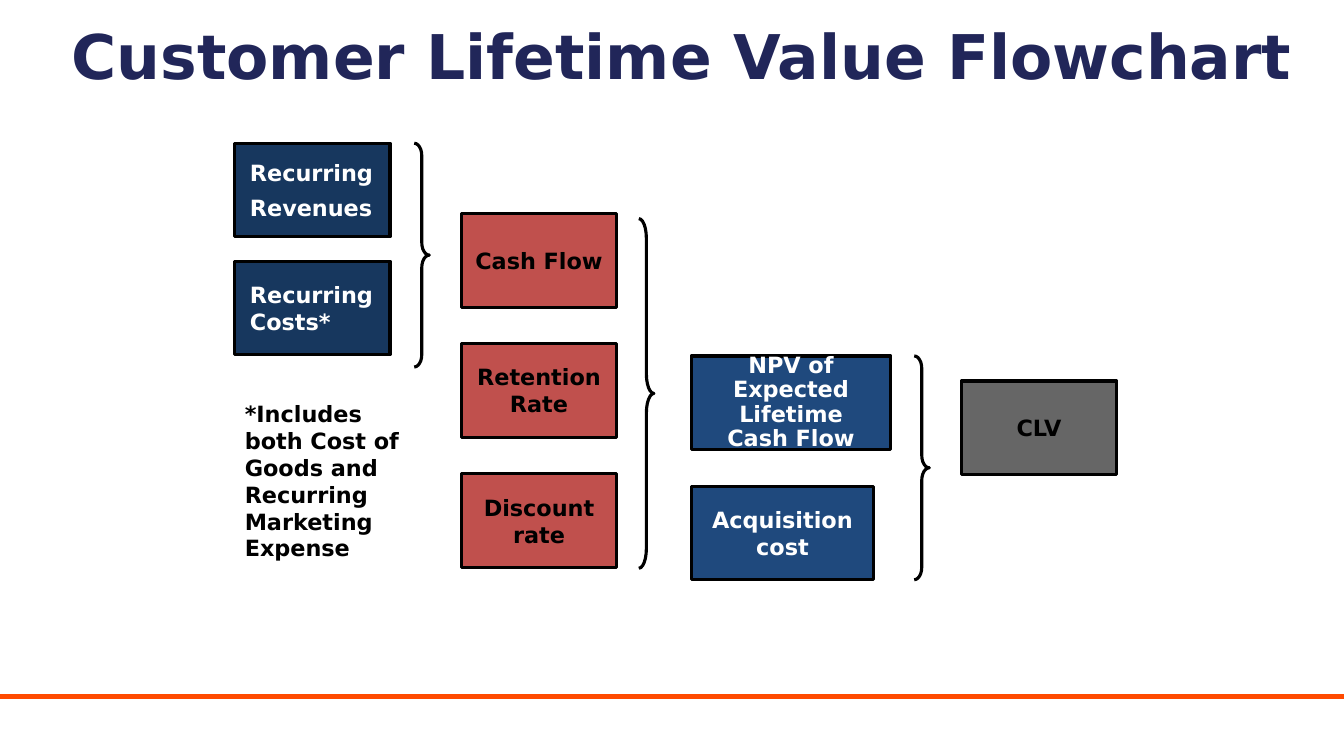
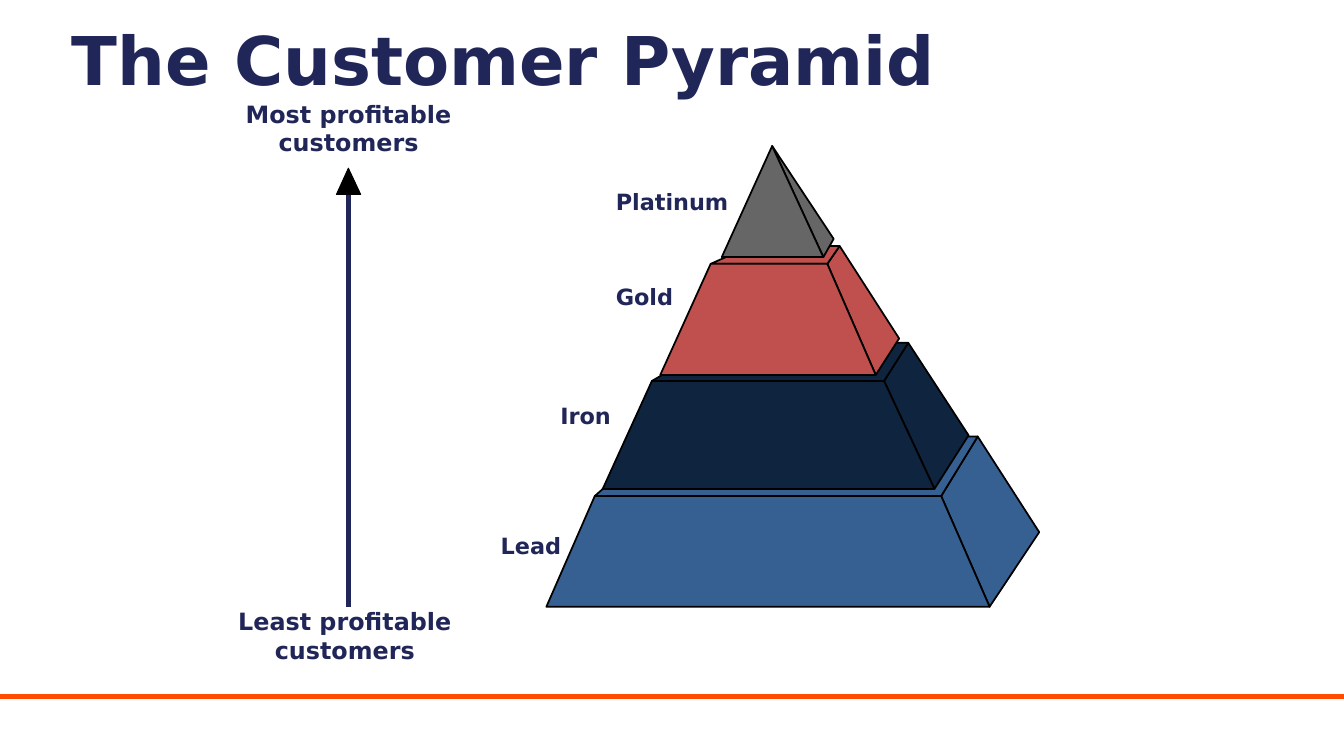
from dataclasses import dataclass

from lxml import etree
from pptx import Presentation
from pptx.dml.color import RGBColor
from pptx.enum.shapes import MSO_CONNECTOR, MSO_SHAPE
from pptx.enum.text import MSO_ANCHOR, MSO_AUTO_SIZE, PP_ALIGN
from pptx.oxml.ns import qn
from pptx.util import Cm, Pt

LEFT, CENTER = PP_ALIGN.LEFT, PP_ALIGN.CENTER
TOP, MIDDLE = MSO_ANCHOR.TOP, MSO_ANCHOR.MIDDLE
NO_AUTOFIT = MSO_AUTO_SIZE.NONE
RECT, BRACE = MSO_SHAPE.RECTANGLE, MSO_SHAPE.RIGHT_BRACE
STRAIGHT = MSO_CONNECTOR.STRAIGHT

FONT = "DejaVu Sans"
BLACK, WHITE = "000000", "FFFFFF"
INK, ORANGE = "212659", "FF4A00"
NAVY, RED, BLUE, GREY = "17375E", "C0504D", "1F497D", "666666"
IRON_NAVY, LEAD_BLUE = "0F243E", "376092"

SLIDE_W, SLIDE_H = 33.87, 19.05
BOX_W, BOX_H = 3.91, 2.36
BRACE_W = 0.38
Point = tuple[float, float]


@dataclass(frozen=True)
class FlowBox:
    text: str
    width: float = BOX_W
    align: PP_ALIGN = CENTER
    line_spacing: float = 1.0
    space_after: float = 6


@dataclass(frozen=True)
class FlowColumn:
    left: float
    top: float
    pitch: float
    fill: str
    text_color: str
    boxes: tuple[FlowBox, ...]


@dataclass(frozen=True)
class Brace:
    left: float
    top: float
    height: float
    curve: float


@dataclass(frozen=True)
class Label:
    text: str
    left: float
    top: float
    width: float = 3
    height: float = 0.69
    size: float = 16
    align: PP_ALIGN = LEFT


@dataclass(frozen=True)
class Tier:
    """Front face corners, then the rear corners that show."""
    fill: str
    base_left: Point
    base_right: Point
    top_left: Point
    top_right: Point
    rear_left: Point
    rear_right: Point
    rear_base: Point

    def faces(self) -> list[list[Point]]:
        """Side, top and front, from back to front; a pointed tier has no top."""
        side = [self.base_right, self.top_right, self.rear_right, self.rear_base]
        top = [self.top_left, self.top_right, self.rear_right, self.rear_left]
        front = [self.base_left, self.base_right, self.top_right, self.top_left]
        unique = [list(dict.fromkeys(face)) for face in (side, top, front)]
        return [face for face in unique if len(face) > 2]


COLUMNS = (
    FlowColumn(5.92, 3.61, 2.97, NAVY, WHITE, (
        FlowBox("Recurring\nRevenues", align=LEFT),
        FlowBox("Recurring Costs*", align=LEFT))),
    FlowColumn(11.63, 5.38, 3.28, RED, BLACK, (
        FlowBox("Cash Flow"), FlowBox("Retention Rate"), FlowBox("Discount rate"))),
    FlowColumn(17.42, 8.97, 3.28, BLUE, WHITE, (
        FlowBox("NPV of Expected\nLifetime\nCash Flow", 5.03,
                line_spacing=0.9, space_after=0),
        FlowBox("Acquisition cost", 4.6))),
    FlowColumn(24.23, 9.6, 0, GREY, BLACK, (FlowBox("CLV"),)),
)
BRACES = (
    Brace(10.44, 3.61, 5.64, 0.83),
    Brace(16.1, 5.51, 8.81, 1.3),
    Brace(23.04, 8.97, 5.64, 0.83),
)
LABELS = (
    Label("Most profitable customers", 4.72, 2.51, 8.13, 1.45, 17, CENTER),
    Label("Platinum", 15.52, 4.75),
    Label("Gold", 15.52, 7.14),
    Label("Iron", 14.12, 10.13),
    Label("Lead", 12.62, 13.41),
    Label("Least profitable customers", 4.78, 15.29, 7.82, 1.45, 17, CENTER),
)
APEX = (19.46, 3.68)
TIERS = (
    Tier(LEAD_BLUE, (13.77, 15.29), (24.94, 15.29), (14.99, 12.5), (23.72, 12.5),
         (16.69, 11), (24.64, 11), (26.19, 13.41)),
    Tier(IRON_NAVY, (15.19, 12.32), (23.55, 12.32), (16.43, 9.6), (22.28, 9.6),
         (18.08, 8.64), (22.89, 8.64), (24.41, 10.97)),
    Tier(RED, (16.64, 9.45), (22.07, 9.45), (17.91, 6.65), (20.85, 6.65),
         (18.92, 6.2), (21.16, 6.2), (22.66, 8.53)),
    Tier(GREY, (18.19, 6.48), (20.75, 6.48), APEX, APEX, APEX, APEX, (21.01, 6.02)),
)


def rgb(color: str) -> RGBColor:
    return RGBColor.from_string(color)


def write_text(tf, text: str, *, size: float = 16, color: str = BLACK,
               align: PP_ALIGN = LEFT, line_spacing: float = 1.0,
               space_after: float = 0) -> None:
    """Fill a text frame, one paragraph for each line of text."""
    for i, line in enumerate(text.split("\n")):
        p = tf.add_paragraph() if i else tf.paragraphs[0]
        p.alignment = align
        p.line_spacing = line_spacing
        p.space_before, p.space_after = Pt(0), Pt(space_after)
        r = p.add_run()
        r.text = line
        r.font.name, r.font.size, r.font.bold = FONT, Pt(size), True
        r.font.color.rgb = rgb(color)


def add_text(s, text: str, left: float, top: float, width: float, height: float,
             margin: float | None = None, **fmt) -> None:
    tf = s.shapes.add_textbox(Cm(left), Cm(top), Cm(width), Cm(height)).text_frame
    tf.word_wrap = True
    if margin is not None:
        tf.margin_left = tf.margin_right = Cm(margin)
        tf.margin_top = tf.margin_bottom = Cm(margin)
    write_text(tf, text, **fmt)


def style_shape(sp, fill: str | None, line_width: float) -> None:
    sp.shadow.inherit = False
    if fill is None:
        sp.fill.background()
    else:
        sp.fill.solid()
        sp.fill.fore_color.rgb = rgb(fill)
    sp.line.color.rgb = rgb(BLACK)
    sp.line.width = Pt(line_width)


def add_line(s, start: Point, end: Point, color: str, width: float):
    line = s.shapes.add_connector(STRAIGHT, *(Cm(v) for v in start + end))
    line.line.color.rgb = rgb(color)
    line.line.width = Pt(width)
    etree.SubElement(line._element.spPr, qn("a:effectLst"))
    return line


def add_polygon(s, points: list[Point], fill: str, line_width: float) -> None:
    first, *rest = [(Cm(x), Cm(y)) for x, y in points]
    builder = s.shapes.build_freeform(*first)
    builder.add_line_segments(rest, close=True)
    style_shape(builder.convert_to_shape(), fill, line_width)


def format_layout_title(layout) -> None:
    title = layout.placeholders[0]
    title.left, title.top = Cm(1.55), Cm(0.2)
    title.width, title.height = Cm(31.52), Cm(2.11)
    tf = title.text_frame
    tf.vertical_anchor, tf.auto_size = TOP, NO_AUTOFIT
    tf.margin_top = Cm(0.25)


def add_slide(prs, layout, title: str, size: float):
    s = prs.slides.add_slide(layout)
    write_text(s.shapes.title.text_frame, title, size=size, color=INK)
    return s


def add_flow_column(s, column: FlowColumn) -> None:
    for i, box in enumerate(column.boxes):
        sp = s.shapes.add_shape(RECT, Cm(column.left), Cm(column.top + i * column.pitch),
                                Cm(box.width), Cm(BOX_H))
        style_shape(sp, column.fill, 2.25)
        tf = sp.text_frame
        tf.word_wrap, tf.vertical_anchor = True, MIDDLE
        if box.align == LEFT:
            tf.margin_left = Cm(0.38)
        write_text(tf, box.text, color=column.text_color, align=box.align,
                   line_spacing=box.line_spacing, space_after=box.space_after)


def add_brace(s, brace: Brace) -> None:
    sp = s.shapes.add_shape(BRACE, Cm(brace.left), Cm(brace.top),
                            Cm(BRACE_W), Cm(brace.height))
    sp.adjustments[0] = brace.curve
    style_shape(sp, None, 2.25)


def build_flowchart(s) -> None:
    for column in COLUMNS:
        add_flow_column(s, column)
    for brace in BRACES:
        add_brace(s, brace)
    add_text(s, "*Includes both Cost of Goods and Recurring Marketing Expense",
             5.92, 9.96, 4.65, 4.37)


def build_pyramid(s) -> None:
    for label in LABELS:
        add_text(s, label.text, label.left, label.top, label.width, label.height,
                 margin=0, size=label.size, color=INK, align=label.align)
    add_line(s, (8.79, 15.29), (8.79, 4.8), INK, 3.75)
    add_polygon(s, [(9.09, 4.9), (8.78, 4.24), (8.48, 4.9)], BLACK, 0.75)
    for tier in TIERS:
        for face in tier.faces():
            add_polygon(s, face, tier.fill, 1.25)


def main() -> None:
    prs = Presentation()
    prs.slide_width, prs.slide_height = Cm(SLIDE_W), Cm(SLIDE_H)
    layout = prs.slide_layouts[5]
    format_layout_title(layout)

    flowchart = add_slide(prs, layout, "Customer Lifetime Value Flowchart", 44)
    # The footer rule moves to the layout so that every slide inherits it.
    rule = add_line(flowchart, (0, 17.55), (SLIDE_W, 17.55), ORANGE, 3)
    layout.shapes.element.append(rule._element)

    build_flowchart(flowchart)
    build_pyramid(add_slide(prs, layout, "The Customer Pyramid", 48))
    prs.save("out.pptx")


if __name__ == "__main__":
    main()
